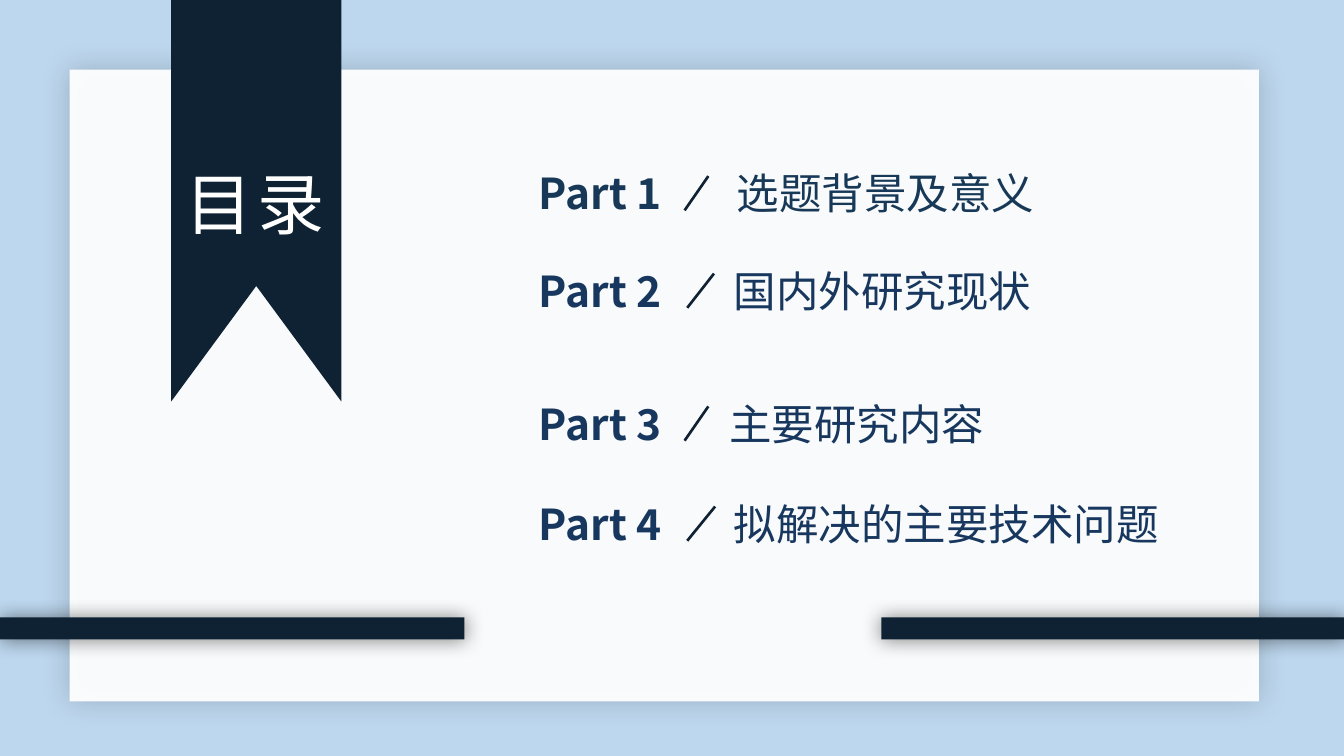
import lxml.etree
import pptx
import pptx.dml.color
import pptx.enum.shapes
import pptx.enum.text
import pptx.oxml.ns
import pptx.util
from pptx.util import Cm

COLORS = {
    "sky": "BDD7EE",
    "paper": "FFFFFF",
    "navy": "0E2234",
    "first": "173957",
    "entry": "17375E",
    "shadow": "000000",
}
FONT = "Noto Sans CJK SC"
WIDTH, HEIGHT = 35.71, 20.09


def color(name):
    return pptx.dml.color.RGBColor.from_string(COLORS[name])


def add_element(parent, tag, **attributes):
    values = {key: str(value) for key, value in attributes.items()}
    return lxml.etree.SubElement(parent, pptx.oxml.ns.qn(tag), values)


class ContentsPage:
    def __init__(self, deck):
        self.page = deck.slides.add_slide(deck.slide_layouts[5])

    def panel(self, left, top, width, height, fill, opacity=100, shadow=None):
        shape = self.page.shapes.add_shape(
            pptx.enum.shapes.MSO_SHAPE.RECTANGLE,
            Cm(left), Cm(top), Cm(width), Cm(height))
        self.paint(shape, fill)
        properties = shape._element.spPr
        if opacity < 100:
            tint = properties.find(".//" + pptx.oxml.ns.qn("a:srgbClr"))
            add_element(tint, "a:alpha", val=opacity * 1000)
        if shadow:
            strength, blur = shadow
            effects = properties.find(pptx.oxml.ns.qn("a:effectLst"))
            outer = add_element(
                effects, "a:outerShdw", blurRad=int(pptx.util.Pt(blur)),
                dist=0, dir=0, algn="ctr", rotWithShape=0)
            tint = add_element(outer, "a:srgbClr", val=COLORS["shadow"])
            add_element(tint, "a:alpha", val=strength * 1000)

    def paint(self, shape, fill):
        shape.shadow.inherit = False
        shape.fill.solid()
        shape.fill.fore_color.rgb = color(fill)
        shape.line.fill.background()

    def ribbon(self, left, width, height, notch):
        right, middle = left + width, left + width / 2
        builder = self.page.shapes.build_freeform(Cm(left), 0)
        builder.add_line_segments(
            [(Cm(x), Cm(y)) for x, y in
             [(right, 0), (right, height), (middle, notch), (left, height)]])
        self.paint(builder.convert_to_shape(), "navy")

    def set_text(self, box, text, size, ink, bold=False):
        frame = box.text_frame
        frame.word_wrap = True
        frame.auto_size = pptx.enum.text.MSO_AUTO_SIZE.NONE
        frame.margin_top = frame.margin_bottom = 0
        frame.text = text
        para = frame.paragraphs[0]
        para.font.name = FONT
        para.font.size = pptx.util.Pt(size)
        para.font.bold = bold
        para.font.color.rgb = color(ink)
        add_element(para.font._element, "a:ea", typeface=FONT)
        return para

    def title(self, text, left, top, width, height):
        box = self.page.shapes.title
        box.left, box.top, box.width, box.height = (
            Cm(left), Cm(top), Cm(width), Cm(height))
        para = self.set_text(box, text, 50.6, "paper")
        para.alignment = pptx.enum.text.PP_ALIGN.CENTER
        para.runs[0].font._element.set("spc", "320")
        box.text_frame.vertical_anchor = pptx.enum.text.MSO_ANCHOR.MIDDLE
        # Bring the title in front of the ribbon
        box._element.getparent().append(box._element)

    def entry(self, number, topic, top, topic_box, label_width, slash, ink):
        shapes = self.page.shapes.add_group_shape().shapes
        left, width, height = topic_box
        box = shapes.add_textbox(Cm(left), Cm(top), Cm(width), Cm(height))
        self.set_text(box, topic, 32, ink)
        label = shapes.add_textbox(Cm(14.07), Cm(top), Cm(label_width), Cm(1.63))
        self.set_text(label, f"Part {number}", 32, ink, bold=True)
        foot, tip = slash
        line = shapes.add_connector(
            pptx.enum.shapes.MSO_CONNECTOR.STRAIGHT,
            Cm(tip), Cm(top + 0.23), Cm(foot), Cm(top + 1.14))
        line.line.color.rgb = color("navy")
        line.line.width = pptx.util.Pt(2)
        add_element(line._element.spPr, "a:effectLst")


# Topic, top, topic box (left, width, height), label width, slash ends, ink
ENTRIES = [
    ("选题背景及意义", 4.45, (19.33, 10.74, 1.63), 4.27, (18.19, 18.82), "first"),
    ("国内外研究现状", 7.04, (19.25, 11.81, 1.63), 4.7, (18.26, 18.97), "entry"),
    ("主要研究内容", 10.57, (19.13, 10.74, 1.63), 4.27, (18.19, 18.82), "entry"),
    ("拟解决的主要技术问题", 13.23, (19.25, 12.37, 3), 4.9, (18.26, 19), "entry"),
]


def main():
    deck = pptx.Presentation()
    deck.slide_width, deck.slide_height = Cm(WIDTH), Cm(HEIGHT)
    contents = ContentsPage(deck)

    # Backdrop and sheet
    contents.panel(0, 0, WIDTH, HEIGHT, "sky")
    contents.panel(1.85, 1.85, 31.6, 16.79, "paper", opacity=94, shadow=(18, 22))

    # Ribbon, entries and heading
    contents.ribbon(left=4.55, width=4.52, height=10.67, notch=7.6)
    for number, entry in enumerate(ENTRIES, start=1):
        contents.entry(number, *entry)
    contents.title("目录", 4.5, 4.17, 4.57, 2.41)

    # Bars at both edges
    for left in (0, 23.42):
        contents.panel(left, 16.41, 12.34, 0.58, "navy", shadow=(50, 15))

    deck.save("out.pptx")


if __name__ == "__main__":
    main()
